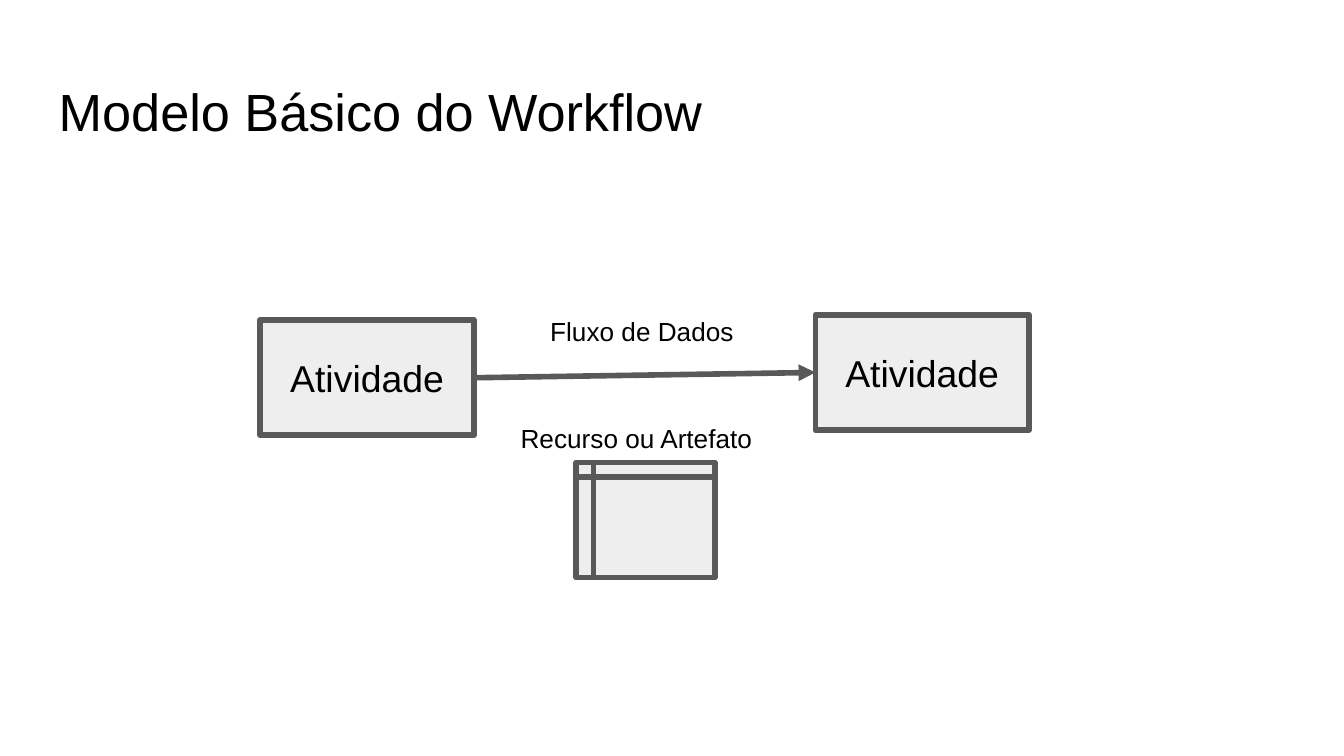
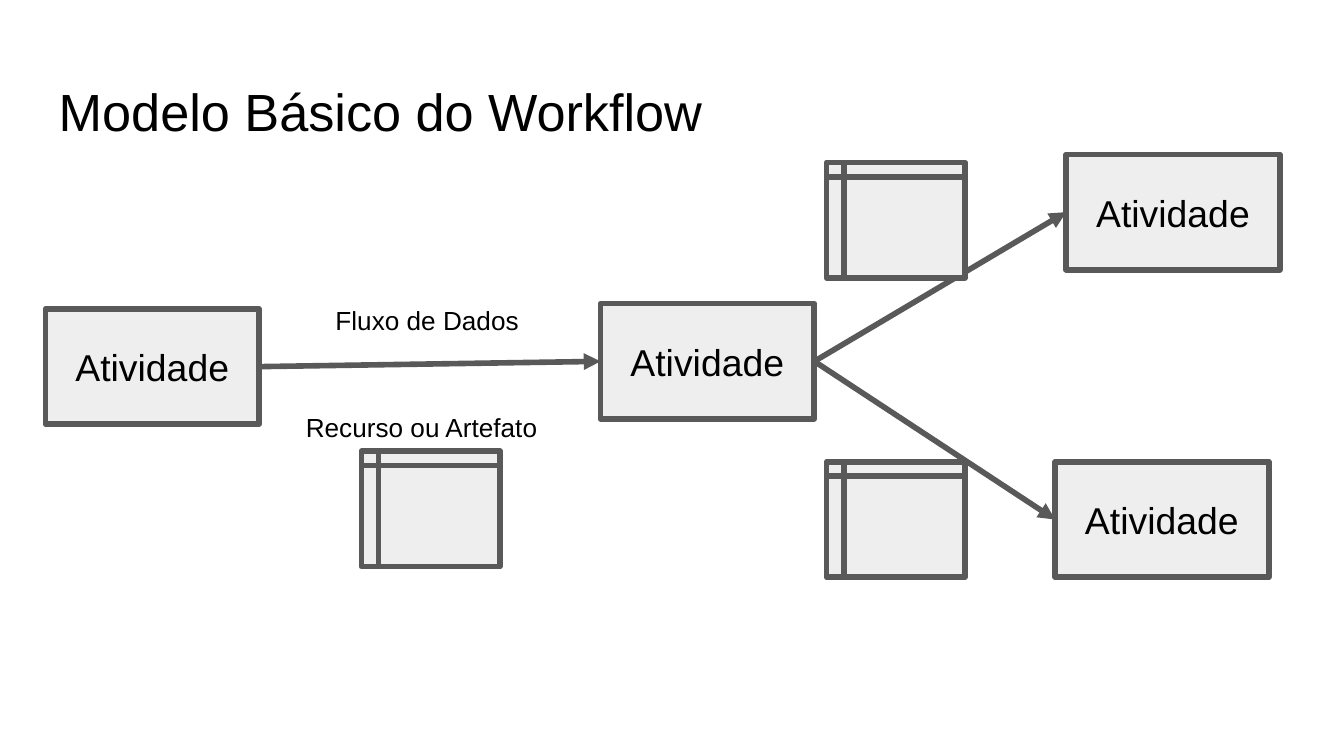
from lxml.etree import SubElement
from pptx import Presentation
from pptx.dml.color import RGBColor
from pptx.enum.shapes import MSO_CONNECTOR, MSO_SHAPE
from pptx.enum.text import MSO_ANCHOR, MSO_AUTO_SIZE, PP_ALIGN
from pptx.oxml.ns import qn
from pptx.util import Cm, Pt

COLORS = {"text": "000000", "fill": "EEEEEE", "line": "595959"}
FONT = "Arial"
LINE_WIDTH = Pt(3)
MARGIN = Cm(0.25)
TITLE = "Modelo Básico do Workflow"
TITLE_BOX = (0.86, 1.24, 23.67, 1.6)
ACTIVITY_SIZE = (4.04, 2.18)
ARTIFACT_SIZE = (2.62, 2.18)
LABEL_HEIGHT = 1.35
RIGHT, LEFT = 3, 1


def color(name):
    return RGBColor.from_string(COLORS[name])


def write(shape, text, size, anchor=MSO_ANCHOR.TOP, alignment=PP_ALIGN.LEFT):
    frame = shape.text_frame
    frame.text = text
    frame.word_wrap = True
    frame.auto_size = MSO_AUTO_SIZE.NONE
    frame.vertical_anchor = anchor
    frame.margin_left = frame.margin_right = MARGIN
    frame.margin_top = frame.margin_bottom = MARGIN
    paragraph = frame.paragraphs[0]
    paragraph.alignment = alignment
    paragraph.font.name = FONT
    paragraph.font.size = Pt(size)
    paragraph.font.color.rgb = color("text")


def add_titled_slide(presentation):
    slide = presentation.slides.add_slide(presentation.slide_layouts[5])
    title = slide.shapes.title
    title.left, title.top, title.width, title.height = map(Cm, TITLE_BOX)
    write(title, TITLE, 28)
    return slide


def set_outline(shape):
    shape.line.color.rgb = color("line")
    shape.line.width = LINE_WIDTH


def add_node(slide, kind, left, top, size):
    shape = slide.shapes.add_shape(kind, *map(Cm, (left, top, *size)))
    shape.shadow.inherit = False
    shape.fill.solid()
    shape.fill.fore_color.rgb = color("fill")
    set_outline(shape)
    return shape


def add_activity(slide, left, top):
    activity = add_node(slide, MSO_SHAPE.RECTANGLE, left, top, ACTIVITY_SIZE)
    write(activity, "Atividade", 20, MSO_ANCHOR.MIDDLE, PP_ALIGN.CENTER)
    return activity


def add_artifact(slide, left, top):
    add_node(slide, MSO_SHAPE.FLOWCHART_INTERNAL_STORAGE, left, top, ARTIFACT_SIZE)


def add_label(slide, text, left, top, width):
    label = slide.shapes.add_textbox(*map(Cm, (left, top, width, LABEL_HEIGHT)))
    write(label, text, 14)


def add_flow(slide, source, target):
    """Join the right side of source to the left side of target with an arrow."""
    flow = slide.shapes.add_connector(MSO_CONNECTOR.STRAIGHT, 0, 0, 0, 0)
    flow.begin_connect(source, RIGHT)
    flow.end_connect(target, LEFT)
    set_outline(flow)
    properties = flow._element.spPr
    SubElement(properties.find(qn("a:ln")), qn("a:tailEnd"), type="triangle")
    SubElement(properties, qn("a:effectLst"))


def add_basic_workflow(slide, left, top):
    """Draw two linked activities with labels; return the second activity."""
    first = add_activity(slide, left, top)
    second = add_activity(slide, left + 10.49, top - 0.1)
    add_flow(slide, first, second)
    add_label(slide, "Fluxo de Dados", left + 5.23, top - 0.33, 4.04)
    add_label(slide, "Recurso ou Artefato", left + 4.67, top + 1.68, 5.18)
    add_artifact(slide, left + 5.97, top + 2.69)
    return second


def build_basic_slide(presentation):
    slide = add_titled_slide(presentation)
    add_basic_workflow(slide, 4.92, 6.05)


def build_branching_slide(presentation):
    slide = add_titled_slide(presentation)
    source = add_basic_workflow(slide, 0.86, 5.84)
    for left, top in ((20.15, 2.92), (19.94, 8.73)):
        add_flow(slide, source, add_activity(slide, left, top))
    for top in (3.07, 8.73):
        add_artifact(slide, 15.62, top)


def main():
    presentation = Presentation()
    presentation.slide_width = Cm(25.4)
    presentation.slide_height = Cm(14.29)
    build_basic_slide(presentation)
    build_branching_slide(presentation)
    presentation.save("out.pptx")


if __name__ == "__main__":
    main()
